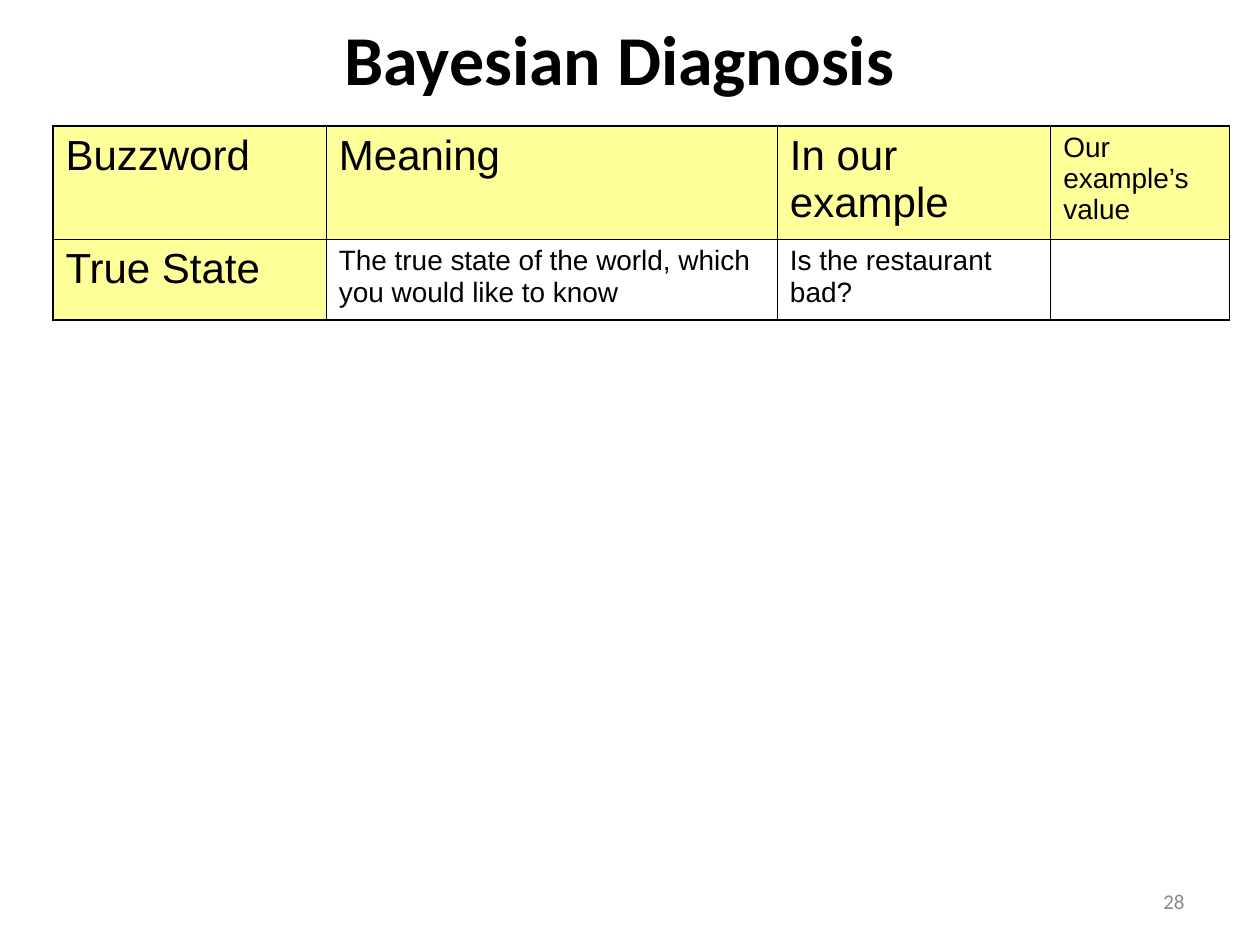
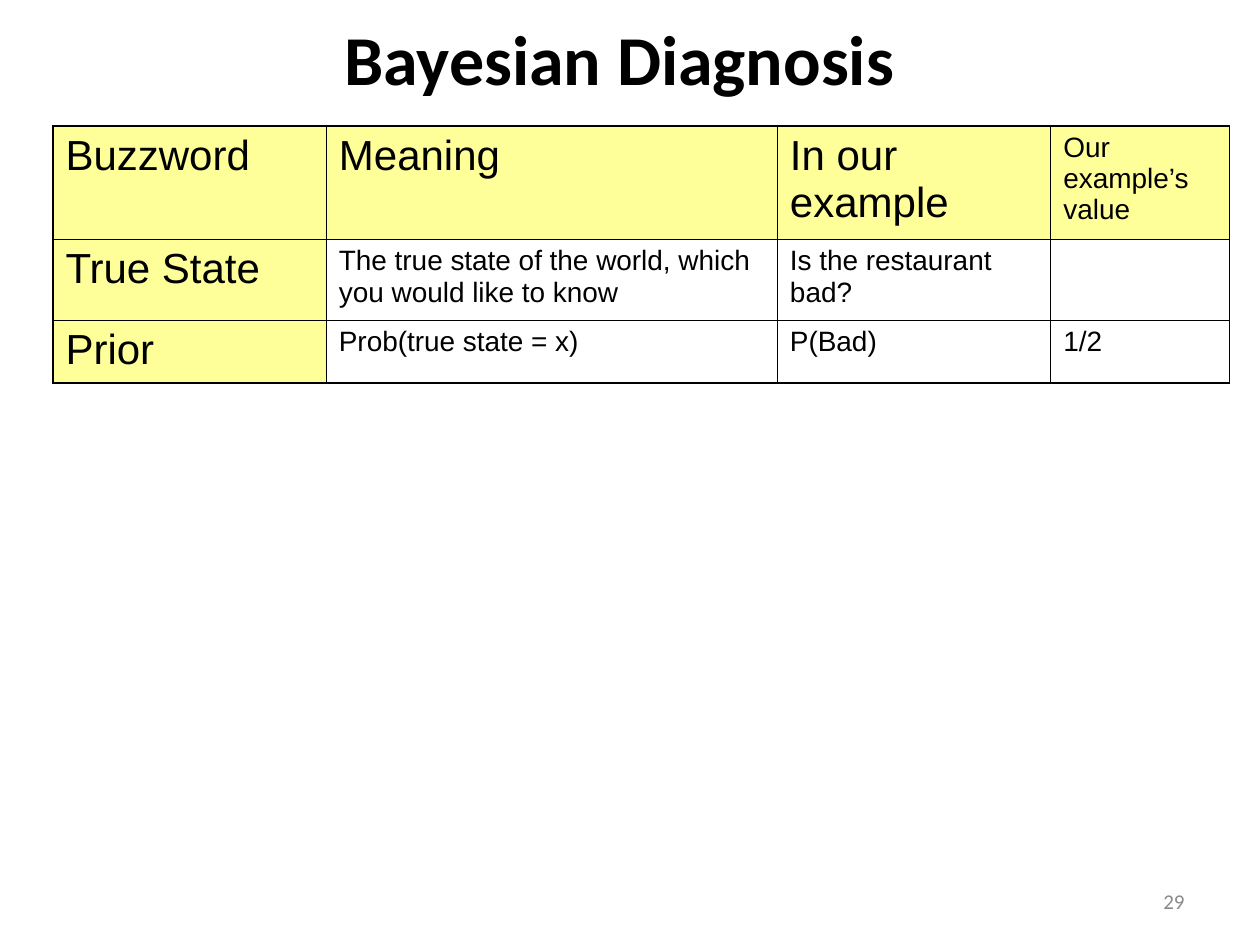
"""Build two slides that grow a table of Bayesian diagnosis terms row by row."""
from pptx import Presentation
from pptx.dml.color import RGBColor
from pptx.enum.text import MSO_ANCHOR as Anchor, MSO_AUTO_SIZE as AutoSize, PP_ALIGN as Align
from pptx.oxml import parse_xml
from pptx.oxml.ns import nsdecls
from pptx.util import Inches, Pt

BLACK, GREY, YELLOW = "000000", "898989", "FFFF99"
THIN, THICK = 0.45, 1.08
FIRST_NUMBER = 28
COLUMN_WIDTHS = [2.17, 3.58, 2.17, 1.42]
ROW_HEIGHTS = [0.9, 0.64, 0.5]
TERMS = [
    ["Buzzword", "Meaning", "In our example", "Our example’s value"],
    ["True State", "The true state of the world, which you would like to know",
     "Is the restaurant bad?", ""],
    ["Prior", "Prob(true state = x)", "P(Bad)", "1/2"],
]


def style(para, font_name, size, color, align=Align.LEFT, bold=False):
    """Format a whole paragraph."""
    para.alignment = align
    para.font.name = font_name
    para.font.size = Pt(size)
    para.font.bold = bold
    para.font.color.rgb = RGBColor.from_string(color)


def add_border(cell, side, width):
    """Draw one black edge of a table cell."""
    cell._tc.get_or_add_tcPr().append(parse_xml(
        f'<a:ln{side} {nsdecls("a")} w="{Pt(width)}"><a:solidFill>'
        f'<a:srgbClr val="{BLACK}"/></a:solidFill></a:ln{side}>'))


deck = Presentation()
deck.slide_width, deck.slide_height = Inches(10), Inches(7.5)
title_only = deck.slide_layouts[5]

for index, row_count in enumerate([2, 3]):
    page = deck.slides.add_slide(title_only)

    title = page.shapes.title
    title.left, title.top = Inches(0.25), Inches(0.08)
    title.width, title.height = Inches(9.33), Inches(0.75)
    title.text_frame.text = "Bayesian Diagnosis"
    title.text_frame.auto_size = AutoSize.NONE
    title.text_frame.vertical_anchor = Anchor.MIDDLE
    style(title.text_frame.paragraphs[0], "Calibri", 40, BLACK, Align.CENTER, True)

    heights = ROW_HEIGHTS[:row_count]
    last_row, last_column = row_count - 1, len(COLUMN_WIDTHS) - 1
    table = page.shapes.add_table(
        row_count, len(COLUMN_WIDTHS), Inches(0.42), Inches(1),
        Inches(sum(COLUMN_WIDTHS)), Inches(sum(heights))).table
    table.first_row = table.horz_banding = False
    for column, width in zip(table.columns, COLUMN_WIDTHS):
        column.width = Inches(width)
    for row, height in zip(table.rows, heights):
        row.height = Inches(height)

    for r, texts in enumerate(TERMS[:row_count]):
        for c, text in enumerate(texts):
            cell = table.cell(r, c)
            is_heading = r == 0 or c == 0
            outer_edges = {"L": c == 0, "R": c == last_column,
                           "T": r == 0, "B": r == last_row}
            for side, is_outer in outer_edges.items():
                add_border(cell, side, THICK if is_outer else THIN)
            if is_heading:
                cell.fill.solid()
                cell.fill.fore_color.rgb = RGBColor.from_string(YELLOW)
            else:
                cell.fill.background()
            if text:
                cell.text = text
                large = is_heading and c != last_column
                style(cell.text_frame.paragraphs[0], "Arial", 24 if large else 16, BLACK)

    number_box = page.shapes.add_textbox(Inches(7.17), Inches(6.95), Inches(2.33), Inches(0.4))
    number_box.text_frame.word_wrap = True
    number_box.text_frame.vertical_anchor = Anchor.MIDDLE
    number_box.text_frame.text = str(FIRST_NUMBER + index)
    style(number_box.text_frame.paragraphs[0], "Calibri", 12, GREY, Align.RIGHT)

deck.save("out.pptx")
